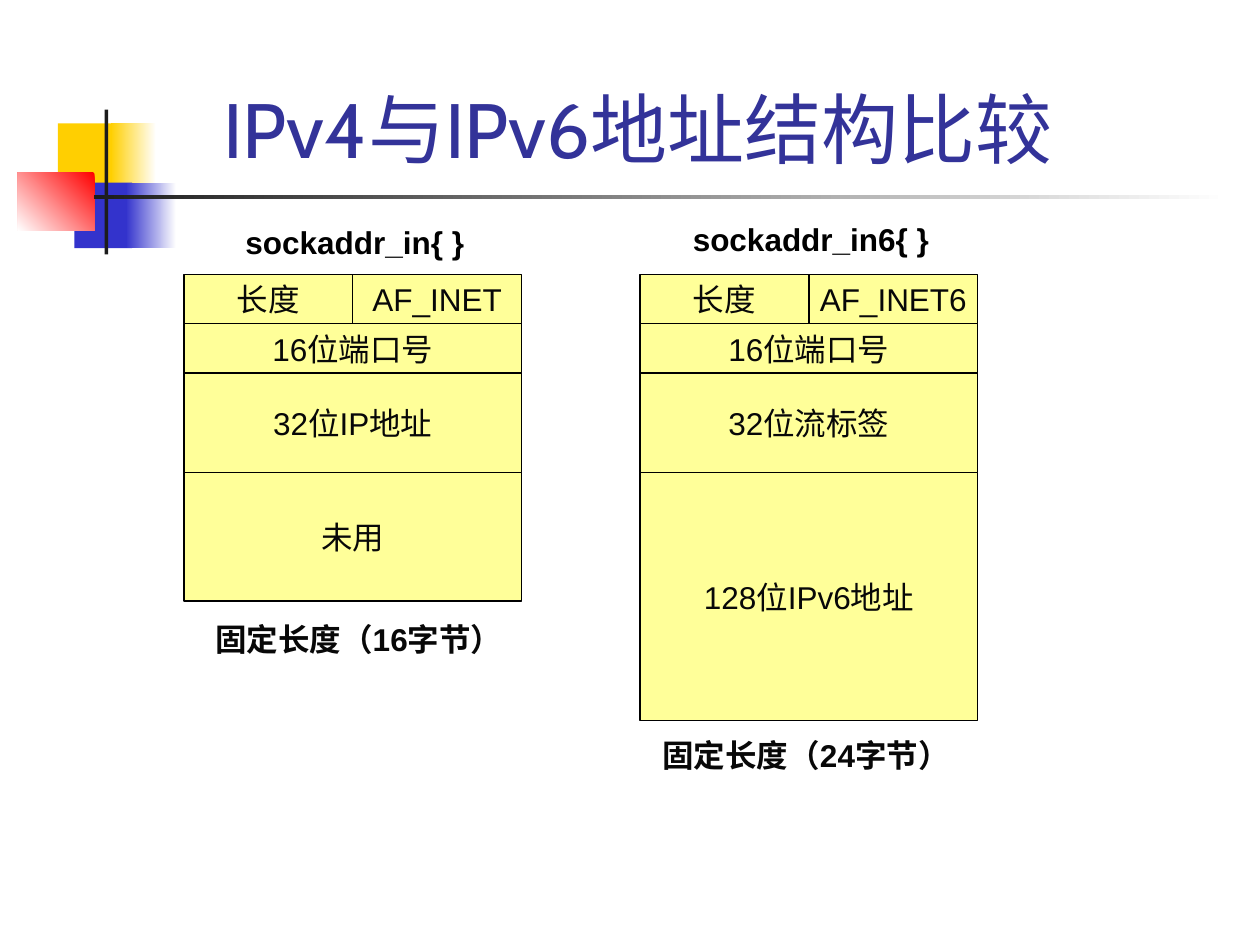
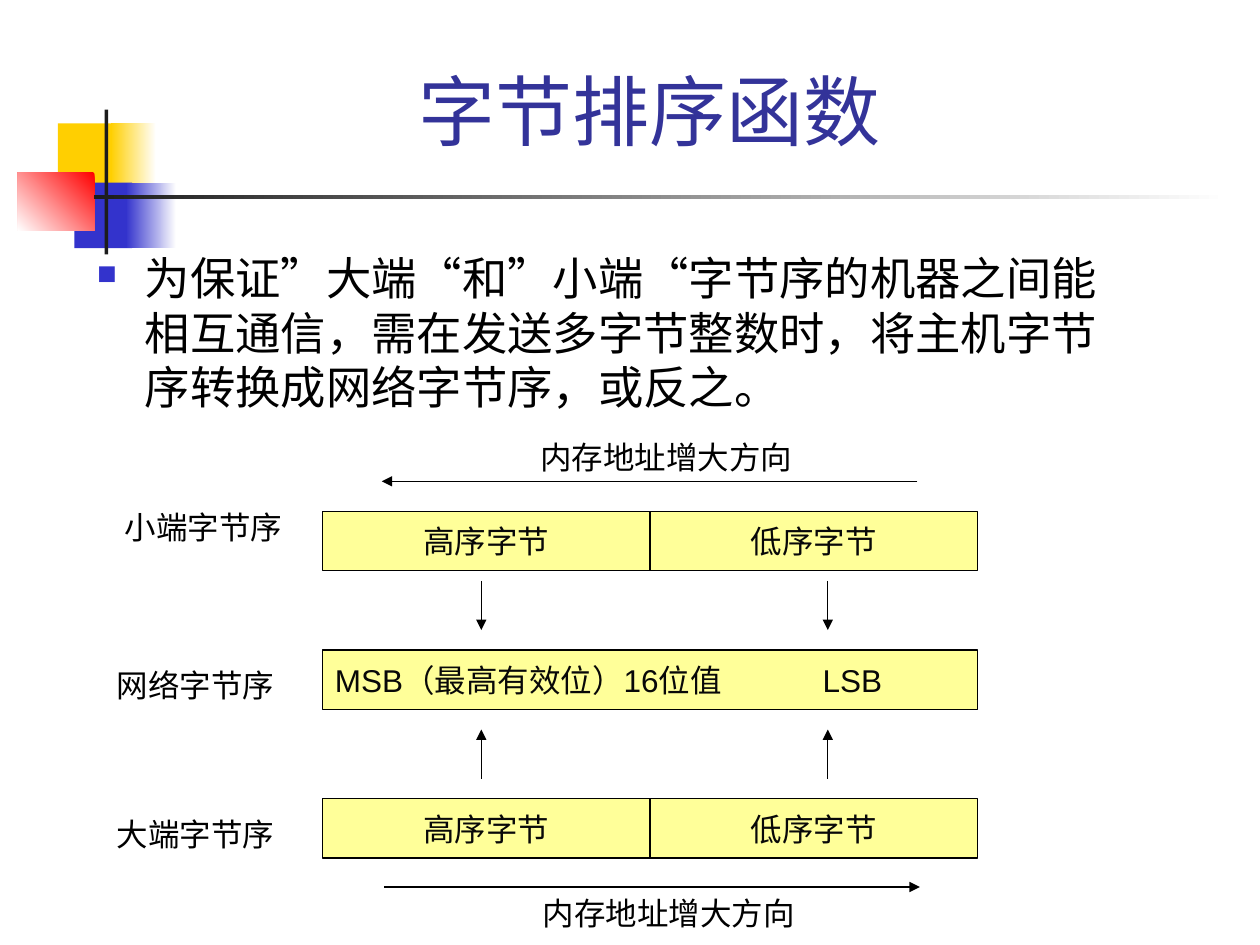
from dataclasses import dataclass

from lxml.etree import SubElement
from pptx import Presentation
from pptx.dml.color import RGBColor
from pptx.enum.shapes import MSO_CONNECTOR, MSO_SHAPE
from pptx.enum.text import MSO_ANCHOR, MSO_AUTO_SIZE, PP_ALIGN
from pptx.oxml.ns import qn
from pptx.shapes.autoshape import Shape
from pptx.slide import Slide
from pptx.util import Inches, Pt


@dataclass(frozen=True)
class Theme:
    title_color: str = "333399"
    text_color: str = "000000"
    cell_text: str = "080808"
    cell_fill: str = "FFFF99"
    white: str = "FFFFFF"
    yellow: str = "FFCF01"
    blue: str = "3333CC"
    red: str = "FF0000"
    dark: str = "1C1C1C"
    title_font: str = "Cabin"
    label_font: str = "Arial"
    title_size: float = 44
    body_size: float = 25.9
    label_size: float = 18
    line_width: float = 0.75


THEME = Theme()


@dataclass(frozen=True)
class Box:
    left: float
    top: float
    width: float
    height: float

    def lengths(self) -> list[int]:
        return [Inches(n) for n in (self.left, self.top, self.width, self.height)]


@dataclass(frozen=True)
class Block:
    """Decoration block; the fill fades when end_color is given."""
    box: Box
    color: str
    end_color: str | None = None
    angle: int = 180


@dataclass(frozen=True)
class Label:
    text: str
    box: Box
    color: str = THEME.text_color
    bold: bool = False
    wrap: bool = False


@dataclass(frozen=True)
class Field:
    """One row of an address structure, with one or more equal cells."""
    texts: tuple[str, ...]
    height: float


@dataclass(frozen=True)
class Arrow:
    start: tuple[float, float]
    end: tuple[float, float]


DECORATION = (
    Block(Box(0.46, 0.98, 0.48, 0.52), THEME.yellow),
    Block(Box(0.88, 0.98, 0.36, 0.52), THEME.white, THEME.yellow),
    Block(Box(0.59, 1.45, 0.46, 0.52), THEME.blue),
    Block(Box(1, 1.45, 0.4, 0.52), THEME.white, THEME.blue),
    Block(Box(0.14, 1.37, 0.61, 0.46), THEME.red, THEME.white, 225),
    Block(Box(0.83, 0.87, 0.03, 1.15), THEME.dark),
    Block(Box(0.75, 1.55, 9, 0.03), THEME.white, THEME.dark),
)


def rgb(color: str) -> RGBColor:
    return RGBColor.from_string(color)


def add_rectangle(slide: Slide, box: Box) -> Shape:
    shape = slide.shapes.add_shape(MSO_SHAPE.RECTANGLE, *box.lengths())
    shape.shadow.inherit = False
    shape.line.fill.background()
    return shape


def add_block(slide: Slide, block: Block) -> None:
    fill = add_rectangle(slide, block.box).fill
    if block.end_color is None:
        fill.solid()
        fill.fore_color.rgb = rgb(block.color)
        return
    fill.gradient()
    fill.gradient_angle = block.angle
    for stop, color in zip(fill.gradient_stops, (block.color, block.end_color)):
        stop.color.rgb = rgb(color)


def write_text(shape: Shape, text: str, color: str, size: float = THEME.label_size,
               font_name: str = THEME.label_font, bold: bool = False,
               align: PP_ALIGN = PP_ALIGN.LEFT) -> None:
    shape.text_frame.text = text
    paragraph = shape.text_frame.paragraphs[0]
    paragraph.alignment = align
    for run in paragraph.runs:
        run.font.name = font_name
        run.font.size = Pt(size)
        run.font.bold = bold
        run.font.color.rgb = rgb(color)


def add_title(slide: Slide, text: str, box: Box) -> None:
    shape = slide.shapes.add_textbox(*box.lengths())
    shape.text_frame.word_wrap = True
    shape.text_frame.vertical_anchor = MSO_ANCHOR.BOTTOM
    write_text(shape, text, THEME.title_color, THEME.title_size,
               THEME.title_font, align=PP_ALIGN.CENTER)


def add_body(slide: Slide, text: str, box: Box) -> None:
    shape = slide.shapes.add_textbox(*box.lengths())
    shape.text_frame.word_wrap = True
    write_text(shape, text, THEME.text_color, THEME.body_size, THEME.title_font)
    paragraph = shape.text_frame.paragraphs[0]
    paragraph.space_before = Pt(7)
    # Square bullet with a hanging indent
    properties = paragraph._p.get_or_add_pPr()
    properties.set("marL", str(Inches(0.38)))
    properties.set("indent", str(-Inches(0.38)))
    bullet_color = SubElement(properties, qn("a:buClr"))
    SubElement(bullet_color, qn("a:srgbClr"), val=THEME.blue)
    SubElement(properties, qn("a:buSzPct"), val="60000")
    SubElement(properties, qn("a:buChar"), char="■")


def add_label(slide: Slide, label: Label) -> None:
    shape = slide.shapes.add_textbox(*label.box.lengths())
    shape.text_frame.word_wrap = label.wrap
    shape.text_frame.auto_size = MSO_AUTO_SIZE.SHAPE_TO_FIT_TEXT
    write_text(shape, label.text, label.color, bold=label.bold)


def add_cell(slide: Slide, text: str, box: Box,
             align: PP_ALIGN = PP_ALIGN.CENTER) -> Shape:
    shape = add_rectangle(slide, box)
    shape.fill.solid()
    shape.fill.fore_color.rgb = rgb(THEME.cell_fill)
    shape.line.color.rgb = rgb(THEME.text_color)
    shape.line.width = Pt(THEME.line_width)
    shape.text_frame.word_wrap = False
    shape.text_frame.vertical_anchor = MSO_ANCHOR.MIDDLE
    write_text(shape, text, THEME.cell_text, align=align)
    return shape


def add_row(slide: Slide, texts: tuple[str, ...], box: Box) -> None:
    width = box.width / len(texts)
    for column, text in enumerate(texts):
        add_cell(slide, text, Box(box.left + column * width, box.top, width, box.height))


def add_structure(slide: Slide, left: float, fields: tuple[Field, ...]) -> None:
    top = 2.18
    for field in fields:
        add_row(slide, field.texts, Box(left, top, 2.68, field.height))
        top += field.height


def add_arrow(slide: Slide, arrow: Arrow) -> None:
    points = [Inches(n) for n in (*arrow.start, *arrow.end)]
    connector = slide.shapes.add_connector(MSO_CONNECTOR.STRAIGHT, *points)
    connector.line.color.rgb = rgb(THEME.text_color)
    connector.line.width = Pt(THEME.line_width)
    SubElement(connector.line._get_or_add_ln(), qn("a:tailEnd"), type="triangle")
    SubElement(connector._element.spPr, qn("a:effectLst"))


def add_slide(presentation: Presentation, title: str, title_box: Box) -> Slide:
    slide = presentation.slides.add_slide(presentation.slide_layouts[6])
    for block in DECORATION:
        add_block(slide, block)
    add_title(slide, title, title_box)
    return slide


def build_address_slide(presentation: Presentation) -> None:
    slide = add_slide(presentation, "IPv4与IPv6地址结构比较", Box(0.98, 0.6, 8.17, 0.83))
    port = Field(("16位端口号",), 0.39)
    add_structure(slide, 5.08, (
        Field(("长度", "AF_INET6"), 0.39), port,
        Field(("32位流标签",), 0.79), Field(("128位IPv6地址",), 1.97)))
    add_structure(slide, 1.46, (
        Field(("长度", "AF_INET"), 0.39), port,
        Field(("32位IP地址",), 0.79), Field(("未用",), 1.02)))
    # Structure names and total lengths, in boxes wide enough for one line
    for label in (
        Label("sockaddr_in6{ }", Box(5.4, 1.7, 2.3, 0.4), bold=True, wrap=True),
        Label("sockaddr_in{ }", Box(1.85, 1.72, 2.2, 0.4), bold=True, wrap=True),
        Label("固定长度（16字节）", Box(1.61, 4.87, 2.99, 0.4), THEME.cell_text, True, True),
        Label("固定长度（24字节）", Box(5.16, 5.79, 3.07, 0.4), THEME.cell_text, True, True),
    ):
        add_label(slide, label)


def build_byte_order_slide(presentation: Presentation) -> None:
    slide = add_slide(presentation, "字节排序函数", Box(0.9, 0.76, 8.52, 0.53))
    add_body(slide, "为保证”大端“和”小端“字节序的机器之间能相互通信，"
             "需在发送多字节整数时，将主机字节序转换成网络字节序，或反之。",
             Box(0.67, 1.94, 8.25, 1.43))

    # Host byte orders above and below the network byte order
    for top in (4.06, 6.34):
        add_row(slide, ("高序字节", "低序字节"), Box(2.56, top, 5.2, 0.47))
    network = add_cell(slide, "MSB（最高有效位）16位值\tLSB",
                       Box(2.56, 5.16, 5.2, 0.47), PP_ALIGN.LEFT)
    network.text_frame.word_wrap = True
    properties = network.text_frame.paragraphs[0]._p.get_or_add_pPr()
    tabs = SubElement(properties, qn("a:tabLst"))
    SubElement(tabs, qn("a:tab"), pos=str(Inches(3.87)), algn="l")

    # Address directions, then conversions
    add_arrow(slide, Arrow((7.28, 3.82), (3.03, 3.82)))
    add_arrow(slide, Arrow((3.05, 7.04), (7.3, 7.04)))
    for x in (3.82, 6.57):
        add_arrow(slide, Arrow((x, 4.61), (x, 5)))
        add_arrow(slide, Arrow((x, 6.18), (x, 5.79)))

    for label in (
        Label("内存地址增大方向", Box(4.19, 3.43, 2.2, 0.4)),
        Label("内存地址增大方向", Box(4.21, 7.05, 2.2, 0.4)),
        Label("小端字节序", Box(0.89, 3.98, 1.45, 0.4)),
        Label("网络字节序", Box(0.83, 5.24, 1.45, 0.4)),
        Label("大端字节序", Box(0.83, 6.42, 1.45, 0.4)),
    ):
        add_label(slide, label)


def main() -> None:
    presentation = Presentation()
    presentation.slide_width = Inches(10)
    presentation.slide_height = Inches(7.5)
    build_address_slide(presentation)
    build_byte_order_slide(presentation)
    presentation.save("out.pptx")


if __name__ == "__main__":
    main()
